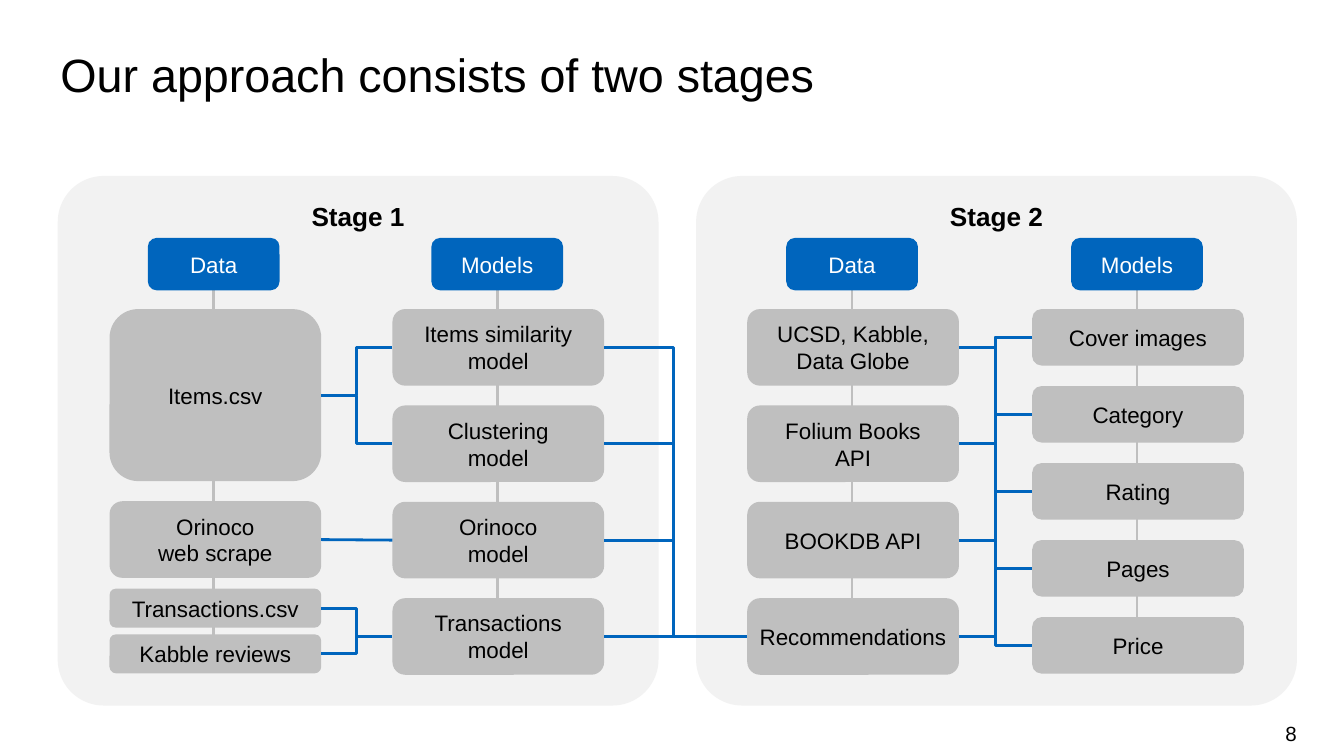
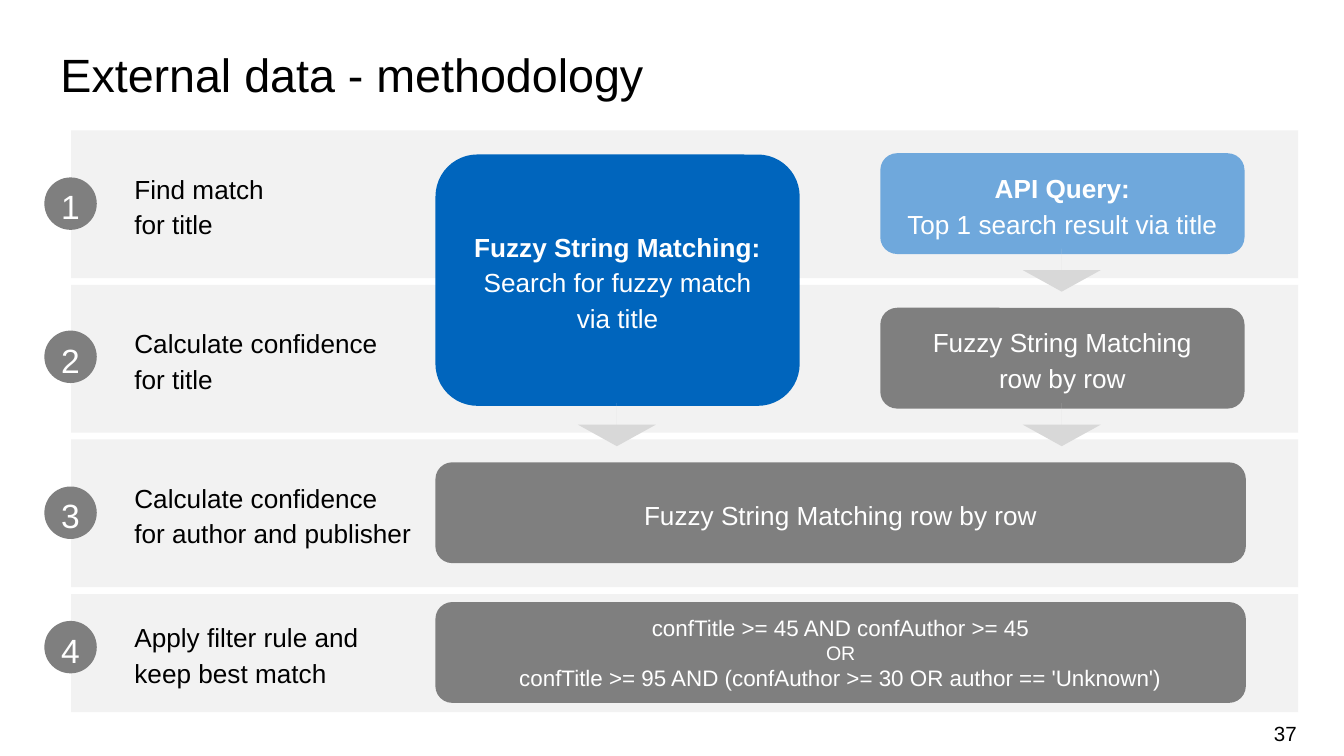
from dataclasses import dataclass

from lxml.etree import SubElement
from pptx import Presentation
from pptx.dml.color import RGBColor
from pptx.enum.shapes import MSO_CONNECTOR as Wire, MSO_SHAPE as Form
from pptx.enum.text import MSO_ANCHOR as Anchor, MSO_AUTO_SIZE as Fit, PP_ALIGN as Align
from pptx.oxml.ns import qn
from pptx.util import Inches, Pt


@dataclass(frozen=True)
class Theme:
    font: str = "Arial"
    black: str = "000000"
    white: str = "FFFFFF"
    blue: str = "0065BD"
    sky: str = "6FA8DC"
    panel: str = "F2F2F2"
    silver: str = "BFBFBF"
    arrow: str = "D8D8D8"
    slate: str = "7F7F7F"
    title: float = 25
    badge: float = 18
    lead: float = 14
    body: float = 12
    small: float = 10.5
    number: float = 11
    line: float = 1.5
    leading: float = 1.14


theme = Theme()
deck = Presentation()
deck.slide_width = Inches(10)
deck.slide_height = Inches(5.625)
cell = deck.slide_width / 100


def write(box, lines, size, color=theme.black, align=Align.CENTER, anchor=Anchor.MIDDLE,
          insets=(0.4, 0.2), leading=None, wrap=True):
    frame = box.text_frame
    frame.word_wrap = wrap
    frame.auto_size = Fit.NONE
    frame.vertical_anchor = anchor
    left, top, right, bottom = insets if len(insets) == 4 else insets * 2
    frame.margin_left, frame.margin_right = int(left * cell), int(right * cell)
    frame.margin_top, frame.margin_bottom = int(top * cell), int(bottom * cell)
    for index, line in enumerate(lines):
        text, bold, points = line if isinstance(line, tuple) else (line, False, size)
        para = frame.add_paragraph() if index else frame.paragraphs[0]
        para.alignment = align
        if leading:
            para.line_spacing = leading
        span = para.add_run()
        span.text = text
        span.font.name = theme.font
        span.font.size = Pt(points)
        span.font.bold = bold
        span.font.color.rgb = RGBColor.from_string(color)


def draw(page, kind, at, color, bend=None):
    spots = [int(length * cell) for length in at]
    if isinstance(kind, Wire):
        item = page.shapes.add_connector(kind, *spots)
        item.line.color.rgb = RGBColor.from_string(color)
        item.line.width = Pt(theme.line)
        shape_xml = item._element.spPr
        SubElement(shape_xml, qn("a:effectLst"))
        if bend is not None:
            values = shape_xml.find(qn("a:prstGeom")).get_or_add_avLst()
            share = round((bend - at[0]) / (at[2] - at[0]) * 100000)
            SubElement(values, qn("a:gd"), name="adj1", fmla=f"val {share}")
        return item
    item = page.shapes.add_shape(kind, *spots)
    item.shadow.inherit = False
    item.fill.solid()
    item.fill.fore_color.rgb = RGBColor.from_string(color)
    item.line.fill.background()
    return item


pages = []
for heading, number in (("Our approach consists of two stages", "8"),
                        ("External data - methodology", "37")):
    page = deck.slides.add_slide(deck.slide_layouts[5])
    title = page.shapes.title
    title.left, title.top, title.width, title.height = (
        int(length * cell) for length in (3.5, 3.4, 93.1, 4.5))
    write(title, [heading], theme.title, align=Align.LEFT, anchor=Anchor.TOP,
          insets=(1, 0, 1, 0.5))
    footer = page.shapes.add_textbox(*(int(length * cell) for length in (74.1, 53.1, 22.4, 3)))
    write(footer, [number], theme.number, align=Align.RIGHT, insets=(0, 0.5))
    pages.append(page)
stages, methodology = pages

for left, stage in ((4.3, "Stage 1"), (51.8, "Stage 2")):
    panel = draw(stages, Form.ROUNDED_RECTANGLE, (left, 13.1, 44.7, 39.4), theme.panel)
    panel.adjustments[0] = 0.087
    write(panel, [(stage, True, theme.lead)], theme.lead, anchor=Anchor.TOP,
          insets=(1, 0.5), leading=theme.leading)

first_row = 23
four_rows = [(first_row + 7.17 * row, 5.7) for row in range(4)]
five_rows = [(first_row + 5.73 * row, 4.2) for row in range(5)]
source_rows = [(first_row, 12.8), (37.3, 5.7), (43.8, 2.9), (47.2, 2.9)]
box_width = 15.75
columns = [
    (8.15, 15.9, "Data", source_rows,
     [["Items.csv"], ["Orinoco", "web scrape"], ["Transactions.csv"], ["Kabble reviews"]]),
    (29.2, 37, "Models", four_rows,
     [["Items similarity", "model"], ["Clustering", "model"], ["Orinoco", "model"],
      ["Transactions", "model"]]),
    (55.6, 63.4, "Data", four_rows,
     [["UCSD, Kabble,", "Data Globe"], ["Folium Books", "API"], ["BOOKDB API"],
      ["Recommendations"]]),
    (76.8, 84.6, "Models", five_rows,
     [["Cover images"], ["Category"], ["Rating"], ["Pages"], ["Price"]]),
]
for left, spine, header, rows, labels in columns:
    draw(stages, Wire.STRAIGHT, (spine, 18.1, spine, 49), theme.silver)
    head = draw(stages, Form.ROUNDED_RECTANGLE, (spine - 4.9, 17.7, 9.8, 3.9), theme.blue)
    write(head, [header], theme.body, theme.white, wrap=False)
    for (top, height), label in zip(rows, labels):
        box = draw(stages, Form.ROUNDED_RECTANGLE, (left, top, box_width, height), theme.silver)
        write(box, label, theme.body, wrap=False)

flows = [
    (0, 26.5, [(0, 0), (0, 1), (1, 2), (2, 3), (3, 3)]),
    (1, 50.1, [(0, 3), (1, 3), (2, 3), (3, 3)]),
    (2, 74.1, [(0, 0), (1, 0), (2, 0), (3, 0), (0, 1), (1, 2), (2, 3), (3, 4)]),
]
for column, bend, pairs in flows:
    source, target = columns[column], columns[column + 1]
    for start, end in pairs:
        start_row, end_row = (side[3][row] for side, row in ((source, start), (target, end)))
        start_middle, end_middle = (top + height / 2 for top, height in (start_row, end_row))
        ends = (source[0] + box_width, start_middle, target[0], end_middle)
        if abs(start_middle - end_middle) < 0.1:
            draw(stages, Wire.STRAIGHT, ends, theme.blue)
        else:
            draw(stages, Wire.ELBOW, ends, theme.blue, bend=bend)

steps = [
    (11, 13.2, ["Find match", "for title"]),
    (11, 24.6, ["Calculate confidence", "for title"]),
    (11, 36.2, ["Calculate confidence", "for author and publisher"]),
    (8.8, 46.2, ["Apply filter rule and", "keep best match"]),
]
for index, (height, badge_top, label) in enumerate(steps):
    band = draw(methodology, Form.RECTANGLE, (5.3, 9.7 + 11.5 * index, 91.3, height), theme.panel)
    write(band, label, theme.lead, align=Align.LEFT, insets=(4.7, 0.5, 0.8, 0.5),
          leading=theme.leading)
    badge = draw(methodology, Form.OVAL, (3.3, badge_top, 3.9, 3.9), theme.slate)
    write(badge, [str(index + 1)], theme.badge, theme.white, insets=(0, 0),
          leading=theme.leading)

left_column, right_column, card_width, full_width, card_height = 32.4, 65.5, 27.1, 60.3, 7.5
cards = [
    (left_column, 11.5, card_width, 18.7, theme.blue, theme.leading,
     [("Fuzzy String Matching:", True, theme.lead), "Search for fuzzy match", "via title"]),
    (right_column, 11.4, card_width, card_height, theme.sky, theme.leading,
     [("API Query:", True, theme.lead), "Top 1 search result via title"]),
    (right_column, 22.9, card_width, card_height, theme.slate, theme.leading,
     ["Fuzzy String Matching", "row by row"]),
    (left_column, 34.4, full_width, card_height, theme.slate, theme.leading,
     ["Fuzzy String Matching row by row"]),
    (left_column, 44.8, full_width, card_height, theme.slate, None,
     [("confTitle >= 45 AND confAuthor >= 45", False, theme.body),
      ("OR", False, theme.small),
      ("confTitle >= 95 AND (confAuthor >= 30 OR author == 'Unknown')", False, theme.body)]),
]
for left, top, width, height, color, leading, lines in cards:
    card = draw(methodology, Form.ROUNDED_RECTANGLE, (left, top, width, height), color)
    write(card, lines, theme.lead, theme.white, insets=(0.4, 0.5), leading=leading)

for left, top in ((76.1, 18.5), (76.1, 30), (43, 30)):
    arrow = draw(methodology, Form.DOWN_ARROW, (left, top, 5.8, 3.2), theme.arrow)
    arrow.adjustments[0] = 0
    arrow.adjustments[1] = 0.5

deck.save("out.pptx")
